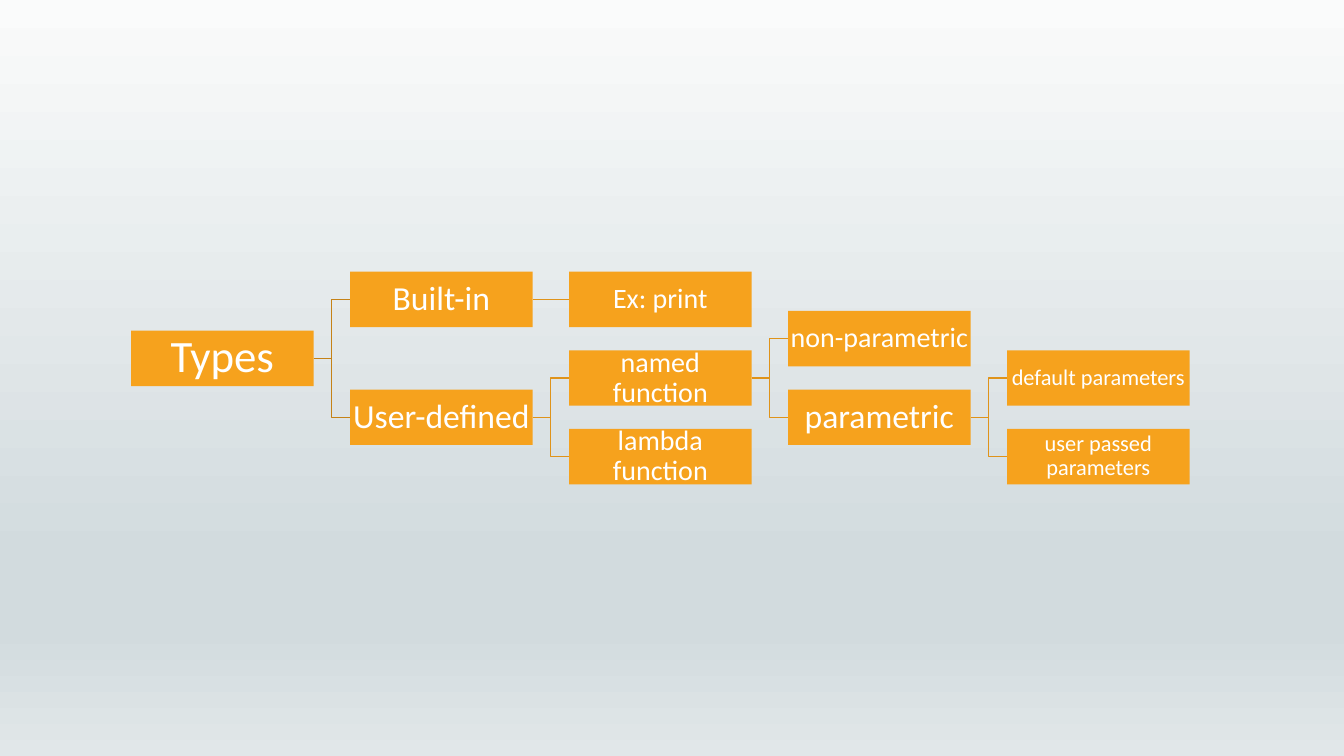
from copy import deepcopy

from pptx import Presentation
from pptx import util as u
from pptx.dml.color import RGBColor
from pptx.enum import shapes, text
from pptx.oxml import ns, xmlchemy

ORANGE = RGBColor(0xF6, 0xA2, 0x1D)
ROOT_LINE = RGBColor(0xC5, 0x82, 0x17)
BRANCH_LINE = RGBColor(0xDF, 0x93, 0x1A)
WHITE = RGBColor(0xFF, 0xFF, 0xFF)
BACKGROUND_STOPS = [
    (0, RGBColor(0xFA, 0xFB, 0xFB)),
    (0.74, RGBColor(0xD2, 0xDB, 0xDE)),
    (0.83, RGBColor(0xD2, 0xDB, 0xDE)),
    (1, RGBColor(0xE1, 0xE7, 0xE9)),
]

LEFT, FIRST_CENTER = 1.3, 2.97
BOX_WIDTH, BOX_HEIGHT = 1.81, 0.55
COLUMN_STEP, ROW_STEP = BOX_WIDTH * 1.2, 0.39
LEVEL_MARGIN = u.Inches(0.05)
LEFT_SITE, RIGHT_SITE = 1, 3

# name: (column, row, size, parent)
NODES = {
    "Types": (0, 1.5, 32, None),
    "Built-in": (1, 0, 24, "Types"),
    "User-defined": (1, 3, 24, "Types"),
    "Ex: print": (2, 0, 20, "Built-in"),
    "named function": (2, 2, 20, "User-defined"),
    "lambda function": (2, 4, 20, "User-defined"),
    "non-parametric": (3, 1, 20, "named function"),
    "parametric": (3, 3, 24, "named function"),
    "default parameters": (4, 2, 16, "parametric"),
    "user passed parameters": (4, 4, 16, "parametric"),
}


def set_attributes(target, values):
    for name, value in values.items():
        setattr(target, name, value)


def paint_background(slide):
    fill = slide.background.fill
    fill.gradient()
    fill.gradient_angle = 270
    stop_list = next(slide.element.iter(ns.qn("a:gsLst")))
    for _ in range(len(BACKGROUND_STOPS) - len(stop_list)):
        stop_list.append(deepcopy(stop_list[0]))
    for stop, (position, color) in zip(fill.gradient_stops, BACKGROUND_STOPS):
        stop.position = position
        stop.color.rgb = color


def add_box(slide, label, column, row, size):
    left = LEFT + column * COLUMN_STEP
    top = FIRST_CENTER + row * ROW_STEP - BOX_HEIGHT / 2
    shape = slide.shapes.add_shape(
        shapes.MSO_SHAPE.RECTANGLE,
        u.Inches(left), u.Inches(top), u.Inches(BOX_WIDTH), u.Inches(BOX_HEIGHT),
    )
    shape.shadow.inherit = False
    shape.fill.solid()
    shape.fill.fore_color.rgb = ORANGE
    shape.line.fill.background()
    margin = u.Inches(0.02 if size > 20 else 0.01)
    frame = shape.text_frame
    set_attributes(frame, {
        "word_wrap": True,
        "vertical_anchor": text.MSO_ANCHOR.MIDDLE,
        "margin_left": margin,
        "margin_right": margin,
        "margin_top": margin,
        "margin_bottom": margin,
    })
    paragraph = frame.paragraphs[0]
    set_attributes(paragraph, {
        "text": label,
        "alignment": text.PP_ALIGN.CENTER,
        "line_spacing": 0.9,
    })
    font = paragraph.runs[0].font
    set_attributes(font, {"name": "Calibri", "size": u.Pt(size)})
    font.color.rgb = WHITE
    return shape


def add_elbow(slide, parent, child):
    connector = slide.shapes.add_connector(shapes.MSO_CONNECTOR.ELBOW, 0, 0, 0, 0)
    connector.begin_connect(parent, RIGHT_SITE)
    connector.end_connect(child, LEFT_SITE)
    properties = next(connector.element.iter(ns.qn("p:spPr")))
    properties.append(xmlchemy.OxmlElement("a:effectLst"))
    return connector


def add_level_link(slide, parent, child):
    start = parent.left + parent.width
    center = parent.top + parent.height // 2
    builder = slide.shapes.build_freeform(start, center - LEVEL_MARGIN)
    builder.move_to(start, center)
    builder.add_line_segments([(child.left, center)], close=False)
    builder.move_to(child.left, center + LEVEL_MARGIN)
    shape = builder.convert_to_shape()
    shape.shadow.inherit = False
    shape.fill.background()
    return shape


def add_branch(slide, parent, child, color):
    add_link = add_level_link if parent.top == child.top else add_elbow
    line = add_link(slide, parent, child).line
    line.width = u.Pt(1)
    line.color.rgb = color


def main():
    presentation = Presentation()
    set_attributes(presentation, {
        "slide_width": u.Inches(13.33),
        "slide_height": u.Inches(7.5),
    })
    slide = presentation.slides.add_slide(presentation.slide_layouts[6])
    paint_background(slide)
    boxes = {}
    for label, (column, row, size, parent) in NODES.items():
        boxes[label] = add_box(slide, label, column, row, size)
        if parent:
            color = ROOT_LINE if column == 1 else BRANCH_LINE
            add_branch(slide, boxes[parent], boxes[label], color)
    presentation.save("out.pptx")


main()
